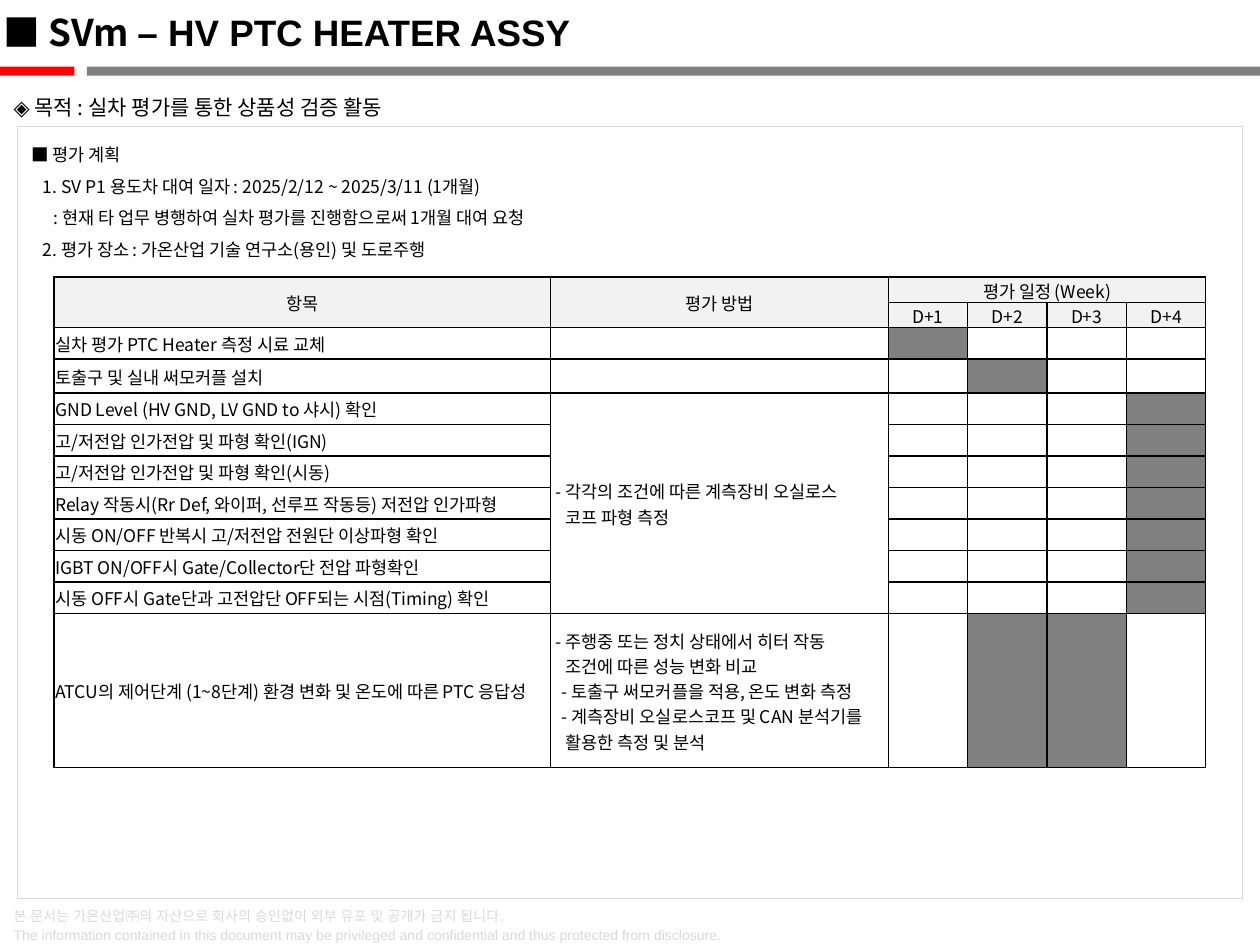
from typing import NamedTuple

from lxml.etree import SubElement
from pptx import Presentation
from pptx.dml.color import RGBColor
from pptx.enum.shapes import MSO_SHAPE
from pptx.enum.text import MSO_ANCHOR, MSO_AUTO_SIZE, PP_ALIGN
from pptx.oxml.ns import qn
from pptx.util import Inches, Pt

RECTANGLE = MSO_SHAPE.RECTANGLE
MIDDLE = MSO_ANCHOR.MIDDLE
GROW = MSO_AUTO_SIZE.SHAPE_TO_FIT_TEXT
CENTER, LEFT = PP_ALIGN.CENTER, PP_ALIGN.LEFT

LATIN_FONT = "Arial"
KOREAN_FONT = "Noto Sans CJK KR"
COLORS = {
    "accent": "FF0000",
    "bar": "808080",
    "active": "808080",
    "header": "F2F2F2",
    "pale": "D9D9D9",
    "black": "000000",
}


class Line(NamedTuple):
    text: str
    indent: float = 0


class Item(NamedTuple):
    name: str
    height: float
    active_weeks: tuple[int, ...]


WEEKS = ("D+1", "D+2", "D+3", "D+4")
COLUMN_WIDTHS = (3.94, 2.68) + (0.63,) * len(WEEKS)
HEADER_HEIGHT = 0.2
HEADER_ROWS = 2
FIRST_WEEK_COLUMN = 2

ITEMS = (
    Item("실차 평가 PTC Heater 측정 시료 교체", 0.25, (1,)),
    Item("토출구 및 실내 써모커플 설치", 0.27, (2,)),
    Item("GND Level (HV GND, LV GND to 샤시) 확인", 0.25, (4,)),
    Item("고/저전압 인가전압 및 파형 확인(IGN)", 0.25, (4,)),
    Item("고/저전압 인가전압 및 파형 확인(시동)", 0.25, (4,)),
    Item("Relay 작동시(Rr Def, 와이퍼, 선루프 작동등) 저전압 인가파형", 0.25, (4,)),
    Item("시동 ON/OFF 반복시 고/저전압 전원단 이상파형 확인", 0.25, (4,)),
    Item("IGBT ON/OFF시 Gate/Collector단 전압 파형확인", 0.25, (4,)),
    Item("시동 OFF시 Gate단과 고전압단 OFF되는 시점(Timing) 확인", 0.25, (4,)),
    Item("ATCU의 제어단계 (1~8단계) 환경 변화 및 온도에 따른 PTC 응답성", 1.22, (2, 3)),
)
WAVEFORM_ROWS = (4, 10)
WAVEFORM_METHOD = (
    Line("- 각각의 조건에 따른 계측장비 오실로스", 0.03),
    Line("코프 파형 측정", 0.11),
)
RESPONSE_METHOD = (
    Line("- 주행중 또는 정치 상태에서 히터 작동", 0.03),
    Line("조건에 따른 성능 변화 비교", 0.11),
    Line("- 토출구 써모커플을 적용, 온도 변화 측정", 0.08),
    Line("- 계측장비 오실로스코프 및 CAN 분석기를", 0.08),
    Line("활용한 측정 및 분석", 0.11),
)
PLAN = (
    Line("■ 평가 계획"),
    Line("1. SV P1 용도차 대여 일자 : 2025/2/12 ~ 2025/3/11 (1개월)", 0.09),
    Line(": 현재 타 업무 병행하여 실차 평가를 진행함으로써 1개월 대여 요청", 0.18),
    Line("2. 평가 장소 : 가온산업 기술 연구소(용인) 및 도로주행", 0.09),
)
NOTICE = (
    Line("본 문서는 가온산업㈜의 자산으로 회사의 승인없이 외부 유포 및 공개가 금지 됩니다."),
    Line("The information contained in this document may be privileged and "
         "confidential and thus protected from disclosure."),
)


def rgb(color: str) -> RGBColor:
    return RGBColor.from_string(COLORS[color])


def style_run(run, size, font=KOREAN_FONT, color="black", bold=False) -> None:
    run.font.size = Pt(size)
    run.font.bold = bold
    run.font.color.rgb = rgb(color)
    run.font.name = font
    SubElement(run.font._element, qn("a:ea"), typeface=font)


def write_lines(frame, lines, size, font=KOREAN_FONT, color="black",
                spacing=None, align=LEFT) -> None:
    frame.text = "\n".join(line.text for line in lines)
    for paragraph, line in zip(frame.paragraphs, lines):
        paragraph.alignment = align
        if spacing:
            paragraph.line_spacing = spacing
        if line.indent:
            paragraph._p.get_or_add_pPr().set("marL", str(Inches(line.indent)))
        for run in paragraph.runs:
            style_run(run, size, font, color)


def add_text_box(slide, left, top, width, height, wrap=True):
    box = slide.shapes.add_textbox(Inches(left), Inches(top), Inches(width), Inches(height))
    frame = box.text_frame
    frame.word_wrap = wrap
    frame.auto_size = GROW
    return frame


def add_bar(slide, left, width, color) -> None:
    bar = slide.shapes.add_shape(RECTANGLE, Inches(left), Inches(0.53), Inches(width), Inches(0.07))
    bar.shadow.inherit = False
    bar.fill.solid()
    bar.fill.fore_color.rgb = rgb(color)
    bar.line.fill.background()


def format_cell(cell, border_color, border_width) -> None:
    """Plain cell: even borders, no fill, tight margins, small empty text."""
    properties = cell._tc.get_or_add_tcPr()
    for side in ("lnL", "lnR", "lnT", "lnB"):
        border = SubElement(properties, qn(f"a:{side}"), w=str(Pt(border_width)))
        fill = SubElement(border, qn("a:solidFill"))
        SubElement(fill, qn("a:srgbClr"), val=COLORS[border_color])
    cell.fill.background()
    cell.vertical_anchor = MIDDLE
    cell.margin_left = cell.margin_right = cell.margin_top = Inches(0.01)
    cell.margin_bottom = 0
    SubElement(cell.text_frame.paragraphs[0]._p, qn("a:endParaRPr"), sz="1000")


def add_grid(slide, left, top, widths, heights, border_color, border_width):
    frame = slide.shapes.add_table(len(heights), len(widths), Inches(left), Inches(top),
                                   Inches(sum(widths)), Inches(sum(heights)))
    table = frame.table
    table.first_row = table.horz_banding = False
    for column, width in zip(table.columns, widths):
        column.width = Inches(width)
    for row, height in zip(table.rows, heights):
        row.height = Inches(height)
    for cell in table.iter_cells():
        format_cell(cell, border_color, border_width)
    return table


def paint(cell, color) -> None:
    cell.fill.solid()
    cell.fill.fore_color.rgb = rgb(color)


def add_schedule(slide) -> None:
    heights = [HEADER_HEIGHT] * HEADER_ROWS + [item.height for item in ITEMS]
    table = add_grid(slide, 0.43, 2.2, COLUMN_WIDTHS, heights, "black", 1)

    # Header
    table.cell(0, 0).merge(table.cell(1, 0))
    table.cell(0, 1).merge(table.cell(1, 1))
    table.cell(0, 2).merge(table.cell(0, len(COLUMN_WIDTHS) - 1))
    headings = [(0, 0, "항목"), (0, 1, "평가 방법"), (0, 2, "평가 일정 (Week)")]
    headings += [(1, FIRST_WEEK_COLUMN + i, week) for i, week in enumerate(WEEKS)]
    for row, column, heading in headings:
        cell = table.cell(row, column)
        paint(cell, "header")
        write_lines(cell.text_frame, [Line(heading)], 10, align=CENTER)

    # Items and their active weeks
    for row, item in enumerate(ITEMS, HEADER_ROWS):
        write_lines(table.cell(row, 0).text_frame, [Line(item.name)], 10)
        for week in item.active_weeks:
            paint(table.cell(row, FIRST_WEEK_COLUMN + week - 1), "active")

    # Methods
    first, last = WAVEFORM_ROWS
    table.cell(first, 1).merge(table.cell(last, 1))
    write_lines(table.cell(first, 1).text_frame, WAVEFORM_METHOD, 10)
    write_lines(table.cell(last + 1, 1).text_frame, RESPONSE_METHOD, 10)


def main() -> None:
    deck = Presentation()
    deck.slide_width, deck.slide_height = Inches(10), Inches(7.5)
    slide = deck.slides.add_slide(deck.slide_layouts[6])

    # Title rule and confidentiality notice
    add_bar(slide, 0, 0.59, "accent")
    add_bar(slide, 0.69, 9.31, "bar")
    notice = add_text_box(slide, 0.01, 7.13, 7.4, 0.41)
    write_lines(notice, NOTICE, 8, LATIN_FONT, "pale", Pt(11))

    # Content border
    add_grid(slide, 0.14, 1, [9.72], [6.13], "pale", 0.25)

    # Title
    title = add_text_box(slide, 0.01, 0.03, 8.51, 0.45)
    title.margin_left = Inches(0.02)
    title.vertical_anchor = MIDDLE
    for text, font in (("■ SVm ", KOREAN_FONT), ("– HV PTC HEATER ASSY", LATIN_FONT)):
        run = title.paragraphs[0].add_run()
        run.text = text
        style_run(run, 21, font, bold=True)

    # Purpose and plan
    purpose = add_text_box(slide, 0.01, 0.6, 3.58, 0.4, wrap=False)
    write_lines(purpose, [Line("◈ 목적 : 실차 평가를 통한 상품성 검증 활동")], 12, spacing=1.5)
    plan = add_text_box(slide, 0.15, 1.01, 9.71, 1.11)
    write_lines(plan, PLAN, 10, spacing=1.5)

    add_schedule(slide)
    deck.save("out.pptx")


if __name__ == "__main__":
    main()
